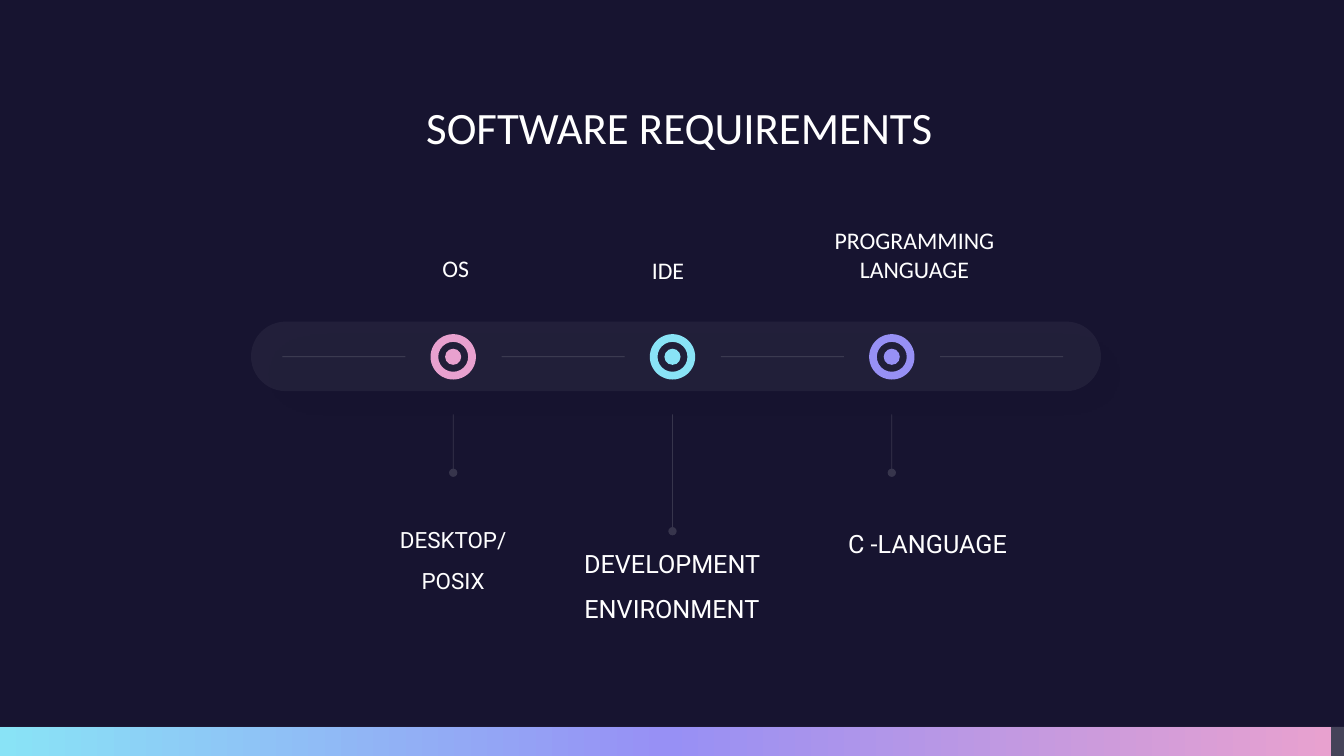
from copy import deepcopy

from pptx import Presentation
from pptx.dml.color import RGBColor
from pptx.enum import shapes, text
from pptx.oxml import ns, xmlchemy
from pptx.util import Inches, Pt

WHITE, PINK, CYAN, VIOLET = "FFFFFF", "E8A1CF", "89E3F6", "9790F5"
MIDDLE, PITCH = 6.67, 8.7 / 4
TRACK_Y, TRACK_LENGTH = 3.54, 1.22


def rgb(value):
    return RGBColor.from_string(value)


def set_alpha(fill_owner, percent):
    """Make the solid colour inside an XML element translucent."""
    color = fill_owner.find(".//" + ns.qn("a:srgbClr"))
    alpha = xmlchemy.OxmlElement("a:alpha")
    alpha.set("val", str(percent * 1000))
    color.append(alpha)


class Slide:
    heading_font, body_font = "Calibri", "Roboto"

    def __init__(self, prs):
        self.s = prs.slides.add_slide(prs.slide_layouts[5])
        self.s.background.fill.solid()
        self.s.background.fill.fore_color.rgb = rgb("171430")

    def set_text(self, sp, wording, font, size, anchor, spacing=None):
        tf = sp.text_frame
        tf.text = wording
        tf.word_wrap = True
        tf.vertical_anchor = anchor
        tf.margin_left = tf.margin_right = 0
        tf.margin_top = tf.margin_bottom = Inches(0.05)
        for p in tf.paragraphs:
            p.alignment = text.PP_ALIGN.CENTER
            p.line_spacing = spacing
            for r in p.runs:
                r.font.name, r.font.size = font, Pt(size)
                r.font.color.rgb = rgb(WHITE)
        return tf

    def title(self, wording, *box):
        sp = self.s.shapes.title
        sp.left, sp.top, sp.width, sp.height = map(Inches, box)
        tf = self.set_text(sp, wording, self.heading_font, 32, text.MSO_ANCHOR.BOTTOM)
        tf.auto_size = text.MSO_AUTO_SIZE.NONE

    def label(self, wording, *box):
        """Heading that sits on the bottom of its box."""
        sp = self.s.shapes.add_textbox(*map(Inches, box))
        tf = self.set_text(sp, wording, self.heading_font, 17, text.MSO_ANCHOR.BOTTOM)
        tf.auto_size = text.MSO_AUTO_SIZE.SHAPE_TO_FIT_TEXT

    def detail(self, wording, size, *box):
        sp = self.s.shapes.add_textbox(*map(Inches, box))
        tf = self.set_text(sp, wording, self.body_font, size, text.MSO_ANCHOR.TOP, 1.5)
        tf.auto_size = text.MSO_AUTO_SIZE.SHAPE_TO_FIT_TEXT

    def shape(self, kind, color, *box, alpha=None, adjust=None, parent=None):
        sp = (parent or self.s).shapes.add_shape(kind, *map(Inches, box))
        sp.shadow.inherit = False
        sp.line.fill.background()
        sp.fill.solid()
        sp.fill.fore_color.rgb = rgb(color)
        if alpha:
            set_alpha(sp._element.spPr, alpha)
        if adjust:
            sp.adjustments[0] = adjust
        return sp

    def drop_shadow(self, sp, color, alpha, blur, distance, degrees):
        shadow = xmlchemy.OxmlElement("a:outerShdw")
        shadow.set("blurRad", str(Pt(blur)))
        shadow.set("dist", str(Pt(distance)))
        shadow.set("dir", str(degrees * 60000))
        shadow.set("rotWithShape", "0")
        clr = xmlchemy.OxmlElement("a:srgbClr")
        clr.set("val", color)
        shadow.append(clr)
        set_alpha(shadow, alpha)
        sp._element.spPr.find(ns.qn("a:effectLst")).append(shadow)

    def gradient_bar(self, colors, *box):
        sp = self.shape(shapes.MSO_SHAPE.RECTANGLE, colors[0], *box)
        sp.fill.gradient()
        sp.fill.gradient_angle = 0
        stop_list = sp._element.spPr.find(".//" + ns.qn("a:gsLst"))
        stop_list.insert(1, deepcopy(stop_list[0]))
        for i, (stop, color) in enumerate(zip(sp.fill.gradient_stops, colors)):
            stop.position = i / (len(colors) - 1)
            stop.color.rgb = rgb(color)

    def target(self, x, y, color):
        """Ring with a dot, centred on x, y."""
        group = self.s.shapes.add_group_shape()
        for kind, size, adjust in ((shapes.MSO_SHAPE.DONUT, 0.45, 0.17),
                                   (shapes.MSO_SHAPE.OVAL, 0.16, None)):
            self.shape(kind, color, x - size / 2, y - size / 2, size, size,
                       adjust=adjust, parent=group)

    def line(self, x1, y1, x2, y2, alpha, dot_end=False):
        cxn = self.s.shapes.add_connector(
            shapes.MSO_CONNECTOR.STRAIGHT, *map(Inches, (x1, y1, x2, y2)))
        cxn.line.width = Pt(0.5)
        cxn.line.color.rgb = rgb("F2F2F2")
        spPr = cxn._element.spPr
        set_alpha(spPr, alpha)
        if dot_end:
            tail = xmlchemy.OxmlElement("a:tailEnd")
            tail.set("type", "oval")
            spPr.find(ns.qn("a:ln")).append(tail)
        spPr.append(xmlchemy.OxmlElement("a:effectLst"))


def main():
    prs = Presentation()
    prs.slide_width, prs.slide_height = Inches(13.33), Inches(7.5)
    slide = Slide(prs)
    slide.title("SOFTWARE REQUIREMENTS", 2.88, 0.52, 7.72, 1.05)

    pill = slide.shape(shapes.MSO_SHAPE.ROUNDED_RECTANGLE, WHITE,
                       2.49, 3.19, 8.43, 0.69, alpha=5, adjust=0.5)
    slide.drop_shadow(pill, "000000", alpha=10, blur=32, distance=18, degrees=45)

    for i, (color, stem_end) in enumerate(((PINK, 4.69), (CYAN, 5.27), (VIOLET, 4.69))):
        x = MIDDLE + (i - 1) * PITCH
        slide.target(x, TRACK_Y, color)
        slide.line(x, 4.11, x, stem_end, alpha=15, dot_end=True)
    for i in range(4):
        x = 2.8 + i * PITCH
        slide.line(x, TRACK_Y, x + TRACK_LENGTH, TRACK_Y, alpha=20)

    slide.label("OS", 3.68, 2.46, 1.68, 0.39)
    slide.label("IDE", 5.92, 2.48, 1.41, 0.39)
    slide.label("PROGRAMMING LANGUAGE", 8.09, 2.19, 1.96, 0.67)
    slide.detail("DESKTOP/\nPOSIX", 16, 3.68, 5.04, 1.63, 0.85)
    slide.detail("C -LANGUAGE", 18, 8.03, 5.04, 2.34, 0.49)
    slide.detail("DEVELOPMENT ENVIRONMENT", 18, 5.58, 5.24, 2.17, 0.95)

    slide.shape(shapes.MSO_SHAPE.RECTANGLE, WHITE, 0, 7.21, 13.33, 0.29, alpha=20)
    slide.gradient_bar((CYAN, VIOLET, PINK), 0, 7.21, 13.2, 0.29)
    prs.save("out.pptx")


if __name__ == "__main__":
    main()
